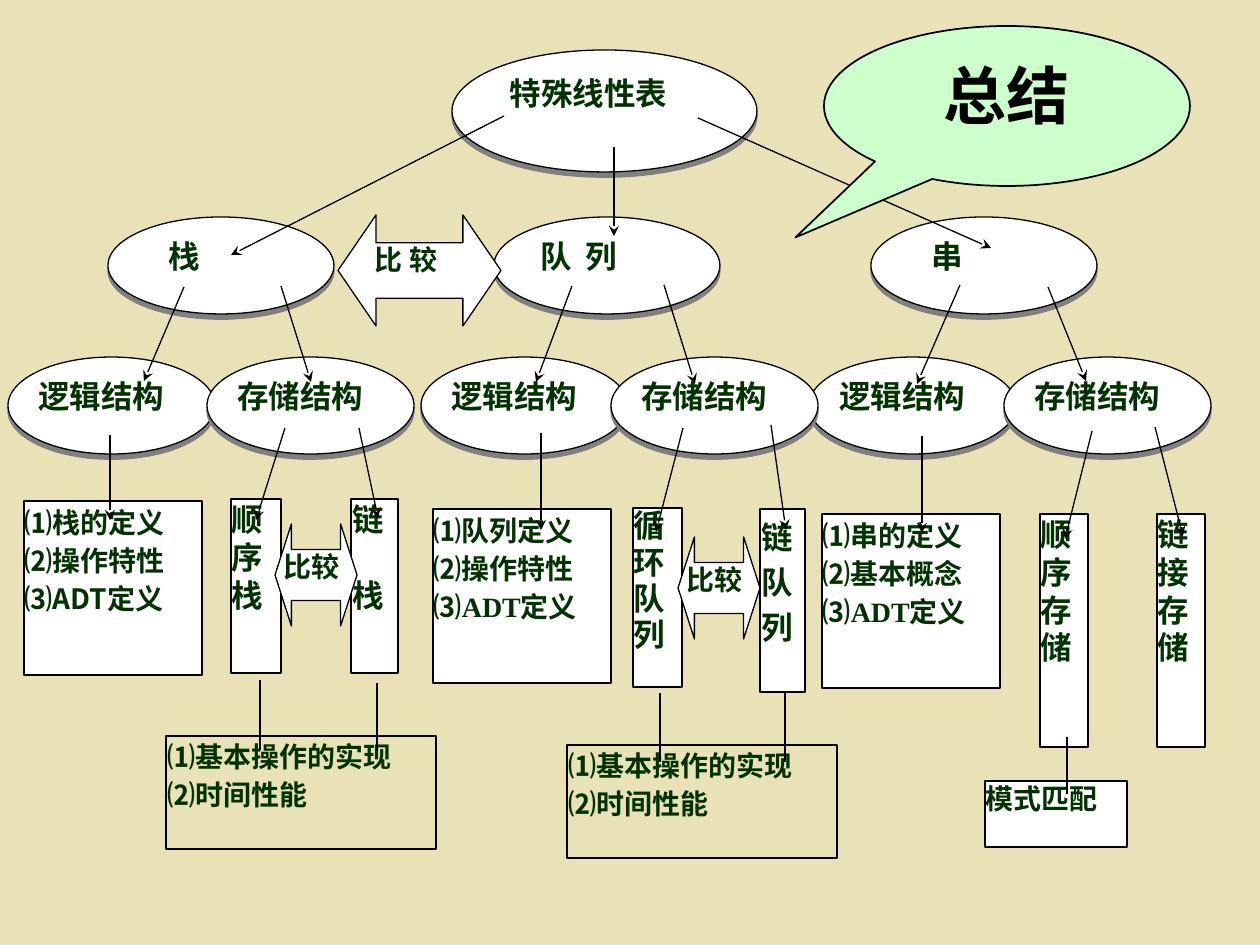
from dataclasses import dataclass

from lxml.etree import SubElement
from pptx import Presentation
from pptx.dml.color import RGBColor
from pptx.enum.shapes import MSO_CONNECTOR, MSO_SHAPE
from pptx.enum.text import MSO_ANCHOR, PP_ALIGN
from pptx.oxml.ns import qn
from pptx.util import Emu, Pt

EMU_PER_PX = 914400 / 126


@dataclass(frozen=True)
class Theme:
    """Colours, fonts and type sizes of the slide."""
    background: str = "E9E2B6"
    paper: str = "FFFFFF"
    callout: str = "CCFFCC"
    ink: str = "003300"
    outline: str = "000000"
    shadow: str = "808080"
    chinese: str = "Noto Sans CJK SC"
    latin: str = "Times New Roman"
    node: int = 18
    detail: int = 16
    title: int = 36
    hairline: float = 0.75


THEME = Theme()
THIN = (1, 1, 1, 1)


def px(length):
    """Turn pixels into EMU."""
    return Emu(round(length * EMU_PER_PX))


def colour(code):
    """Turn a hex code into a colour."""
    return RGBColor.from_string(code)


def style_span(span, size, ink, latin):
    """Format one run for Chinese and Latin letters."""
    font = span.font
    font.size, font.bold, font.name = Pt(size), True, latin
    font.color.rgb = colour(ink)
    SubElement(font._element, qn("a:ea"), typeface=THEME.chinese)


def write(shape, lines, size, insets, spacing=None, gap=0, acronym_font=THEME.chinese):
    """Write justified lines from the top of a shape."""
    frame = shape.text_frame
    frame.word_wrap, frame.vertical_anchor = True, MSO_ANCHOR.TOP
    (frame.margin_left, frame.margin_top,
     frame.margin_right, frame.margin_bottom) = map(px, insets)
    for index, line in enumerate(lines):
        para = frame.add_paragraph() if index else frame.paragraphs[0]
        para.alignment = PP_ALIGN.JUSTIFY
        if spacing:
            para.line_spacing = spacing
        if index and gap:
            para.space_before = Pt(gap)
        for part in filter(None, line.partition("ADT")):
            span = para.add_run()
            span.text = part
            latin = acronym_font if part == "ADT" else THEME.chinese
            style_span(span, size, THEME.ink, latin)


def add_outline(page, kind, place, fill=THEME.paper, width=THEME.hairline):
    """Add a flat shape with a black outline."""
    shape = page.shapes.add_shape(kind, *map(px, place))
    shape.shadow.inherit = False
    shape.line.color.rgb = colour(THEME.outline)
    shape.line.width = Pt(width)
    if fill:
        shape.fill.solid()
        shape.fill.fore_color.rgb = colour(fill)
    else:
        shape.fill.background()
    return shape


def add_node(page, place, label, insets=(13, 6, 13, 6)):
    """Add an ellipse with a hard shadow below it."""
    node = add_outline(page, MSO_SHAPE.OVAL, place)
    effects = node._element.spPr.find(qn("a:effectLst"))
    shadow = SubElement(effects, qn("a:outerShdw"), dist=str(Pt(3)),
                        dir="5400000", algn="ctr", rotWithShape="0")
    SubElement(shadow, qn("a:srgbClr"), val=THEME.shadow)
    write(node, [label], THEME.node, insets)


def add_box(page, place, lines, size=THEME.detail, fill=THEME.paper, insets=THIN, **layout):
    """Add a text rectangle."""
    box = add_outline(page, MSO_SHAPE.RECTANGLE, place, fill)
    write(box, lines, size, insets, **layout)


def add_comparison(page, place, label, head, insets=(0, 0, 0, 0)):
    """Add a labelled double arrow."""
    arrow = add_outline(page, MSO_SHAPE.LEFT_RIGHT_ARROW, place)
    arrow.adjustments[0], arrow.adjustments[1] = 0.5, head
    write(arrow, [label], THEME.detail, insets)


def add_link(page, ends, arrowhead=True):
    """Add a straight line between two points."""
    link = page.shapes.add_connector(MSO_CONNECTOR.STRAIGHT, *map(px, ends))
    link.line.color.rgb = colour(THEME.outline)
    link.line.width = Pt(THEME.hairline)
    if arrowhead:
        SubElement(link.line._get_or_add_ln(), qn("a:tailEnd"), type="stealth")
    SubElement(link._element.spPr, qn("a:effectLst"))


def add_title(page, text):
    """Add the callout and lay the title over it."""
    callout = add_outline(page, MSO_SHAPE.OVAL_CALLOUT, (824, 26, 366, 160), THEME.callout, 1)
    callout.adjustments[0], callout.adjustments[1] = -0.578, 0.822
    title = page.shapes.title
    title.left, title.top, title.width, title.height = map(px, (877, 50, 259, 113))
    page.shapes._spTree.append(title._element)
    frame = title.text_frame
    frame.text = text
    frame.vertical_anchor = MSO_ANCHOR.TOP
    para = frame.paragraphs[0]
    para.alignment = PP_ALIGN.CENTER
    style_span(para.runs[0], THEME.title, THEME.outline, THEME.latin)


def add_structures(page):
    """Add the definition boxes and the storage columns."""
    definitions = [
        (24, 501, "⑴栈的定义", "⑵操作特性", THEME.chinese),
        (433, 509, "⑴队列定义", "⑵操作特性", THEME.latin),
        (822, 514, "⑴串的定义", "⑵基本概念", THEME.latin),
    ]
    for left, top, first, second, font in definitions:
        add_box(page, (left, top, 178, 174), [first, second, "⑶ADT定义"],
                spacing=1.12, acronym_font=font)
    columns = [
        ((231, 499, 50, 174), ["顺序栈"], {}),
        ((351, 499, 47, 174), ["链", "栈"], {"gap": 22}),
        ((633, 508, 49, 179), ["循环队列"], {"spacing": 0.96}),
        ((760, 509, 45, 183), ["链队列"], {"spacing": 1.2}),
        ((1040, 514, 48, 233), ["顺序存储"], {}),
        ((1157, 514, 48, 233), ["链接存储"], {}),
    ]
    for place, lines, layout in columns:
        add_box(page, place, lines, THEME.node, **layout)


def add_tree(page):
    """Add the ellipses and the arrows between the levels."""
    add_node(page, (452, 50, 305, 122), "特殊线性表")
    for left, label, indent in ((108, "栈", 27), (494, "队  列", 13), (871, "串", 27)):
        add_node(page, (left, 217, 226, 97), label, (indent, 6, 13, 6))
    add_structures(page)
    for label, lefts in (("逻辑结构", (8, 421, 809)), ("存储结构", (207, 611, 1004))):
        for left in lefts:
            add_node(page, (left, 357, 207, 97), label, (0, 6, 0, 6))
    add_comparison(page, (338, 215, 163, 111), "比 较", 0.343, (18, 0, 13, 0))
    arrows = [
        (504, 116, 231, 255), (614, 147, 614, 236), (698, 118, 991, 248),
        (184, 287, 144, 381), (281, 286, 311, 382), (572, 286, 536, 382),
        (664, 285, 695, 384), (960, 285, 917, 384), (1048, 287, 1086, 381),
        (110, 435, 110, 520), (541, 433, 541, 530), (922, 436, 922, 533),
        (285, 428, 256, 520), (359, 428, 378, 518), (683, 428, 656, 532),
        (771, 425, 786, 530), (1092, 431, 1065, 539), (1155, 427, 1183, 536),
    ]
    for ends in arrows:
        add_link(page, ends)


def add_results(page):
    """Add the lower comparisons and what they lead to."""
    add_box(page, (985, 781, 142, 66), ["模式匹配"])
    for left, top in ((275, 524), (678, 537)):
        add_comparison(page, (left, top, 82, 102), "比较", 0.2)
    for left, top in ((166, 736), (567, 745)):
        add_box(page, (left, top, 270, 113), ["⑴基本操作的实现", "⑵时间性能"],
                fill=None, insets=(2, 0, 2, 0), spacing=1.12)
    for x, top, bottom in ((260, 680, 750), (377, 683, 751), (660, 693, 762),
                           (785, 693, 762), (1067, 737, 794)):
        add_link(page, (x, top, x, bottom), arrowhead=False)


def main():
    """Build and save the summary slide."""
    deck = Presentation()
    deck.slide_width, deck.slide_height = px(1260), px(945)
    page = deck.slides.add_slide(deck.slide_layouts[5])
    page.background.fill.solid()
    page.background.fill.fore_color.rgb = colour(THEME.background)
    add_tree(page)
    add_results(page)
    add_title(page, "总结")
    deck.save("out.pptx")


if __name__ == "__main__":
    main()
